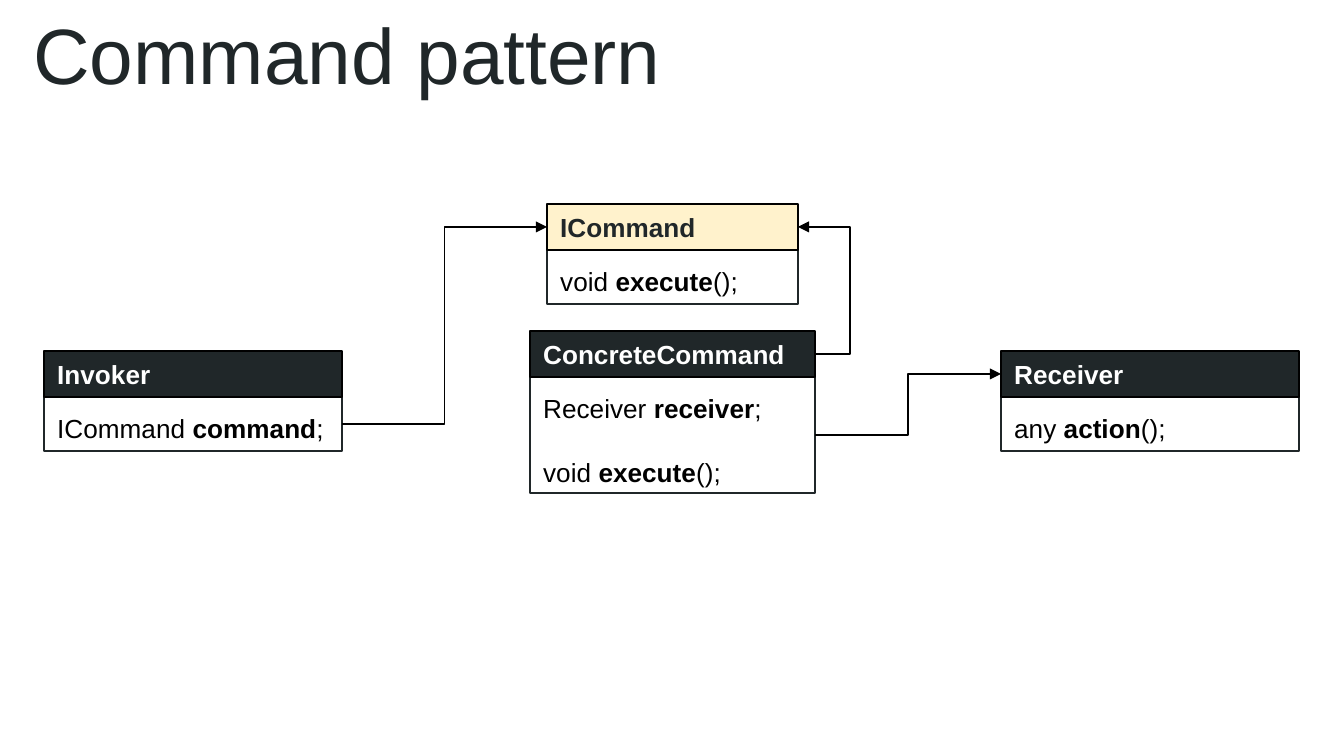
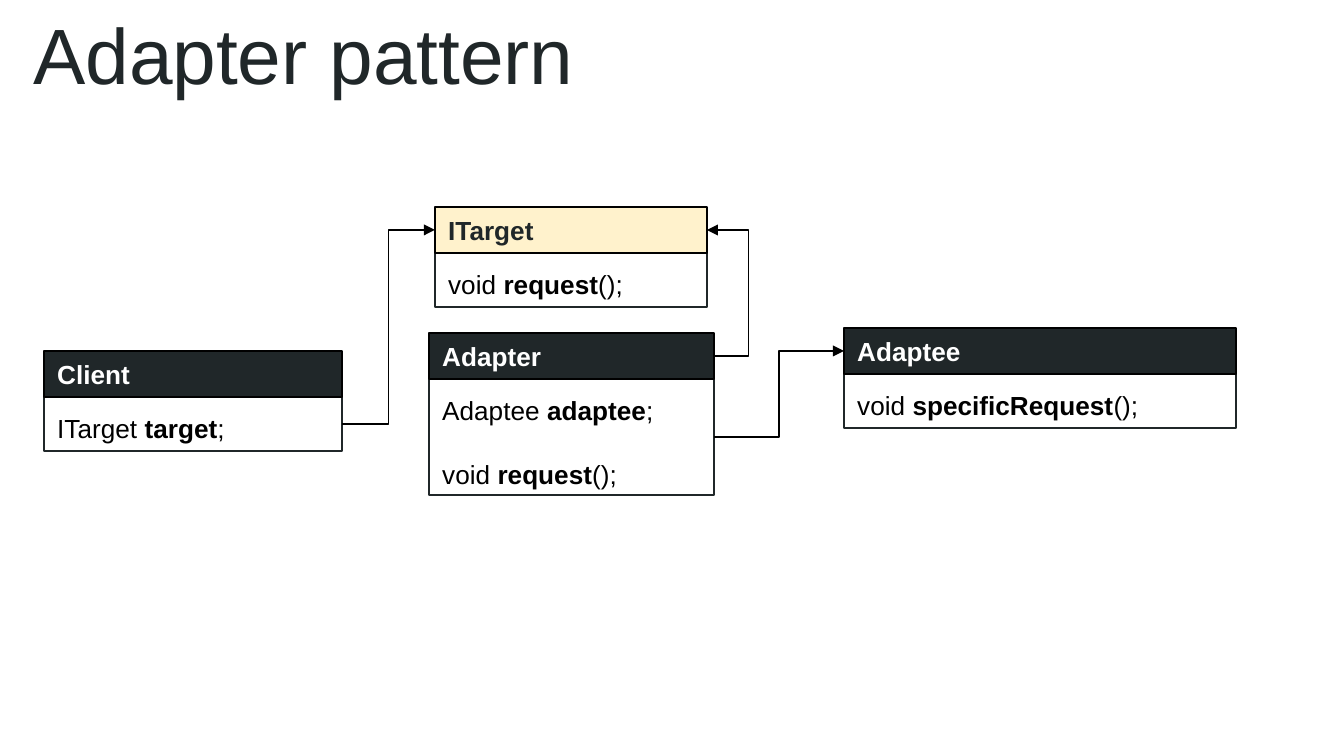
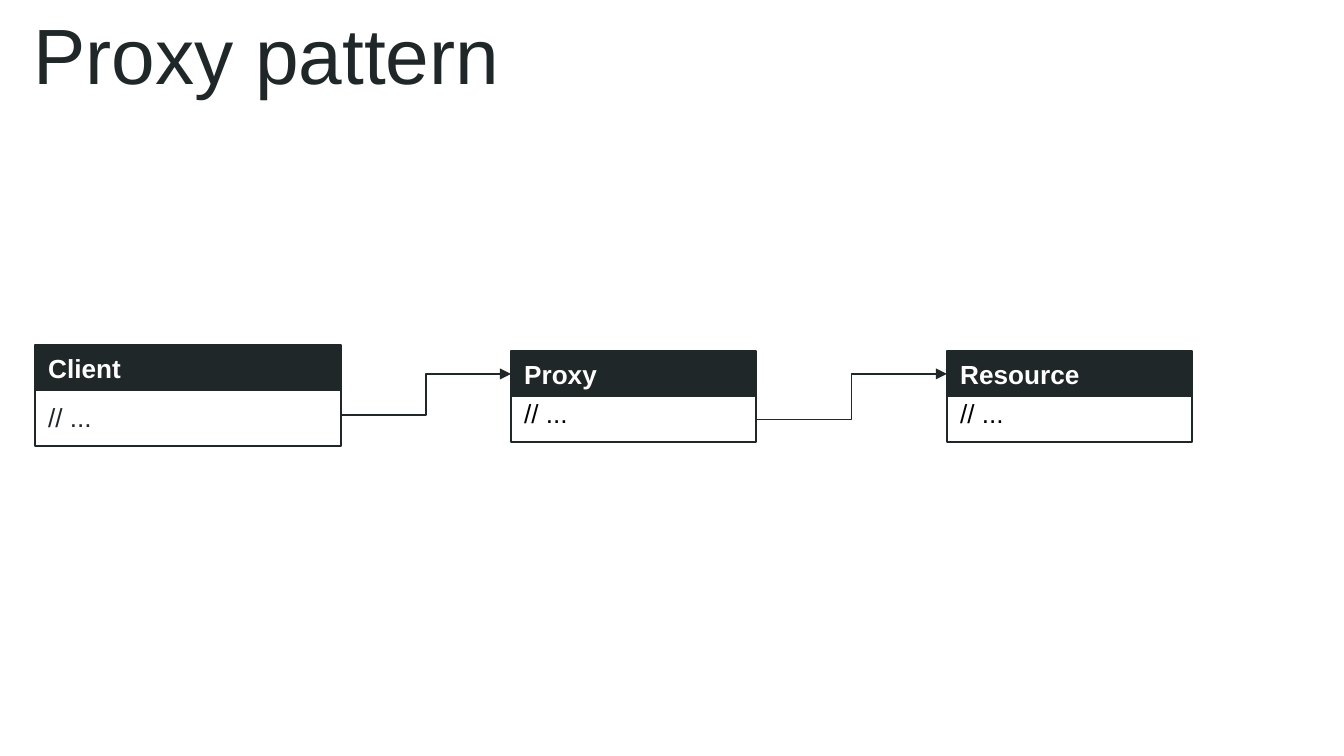
from collections import namedtuple

from lxml.etree import SubElement
from pptx import Presentation
from pptx.dml.color import RGBColor
from pptx.enum.shapes import MSO_CONNECTOR as CONNECTOR, MSO_SHAPE as SHAPE
from pptx.enum.text import MSO_ANCHOR as ANCHOR, PP_ALIGN as ALIGN
from pptx.oxml.ns import qn
from pptx.util import Pt

COLOURS = {"ink": "202729", "black": "000000", "white": "FFFFFF", "cream": "FFF2CC"}
FONT = "Arial"
EMU_PER_PIXEL = 914400 / 134.4
SLIDE_SIZE = (1344, 756)
HEADER_HEIGHT = 46
MEMBER_HEIGHT = 54
PAIR_HEIGHT = 116
LOOP_REACH = 35
INSET = 13.44

ClassBox = namedtuple("ClassBox", "left right header_mid body_mid")


def px(length):
    """Turn picture pixels into EMU."""
    return round(length * EMU_PER_PIXEL)


def rgb(name):
    """Look up a named colour."""
    return RGBColor.from_string(COLOURS[name])


def set_all(target, values):
    """Set every attribute in values on target."""
    for attribute, value in values.items():
        setattr(target, attribute, value)


def write(frame, lines, size, colour, anchor, bold=False, gap=0, spacing=None):
    """Write lines of runs; the second run of a line is bold."""
    margins = {f"margin_{side}": px(INSET) for side in ("left", "top", "right", "bottom")}
    set_all(frame, {"word_wrap": True, "vertical_anchor": anchor, **margins})
    for index, pieces in enumerate(lines):
        paragraph = frame.add_paragraph() if index else frame.paragraphs[0]
        layout = {"alignment": ALIGN.LEFT, "line_spacing": spacing,
                  "space_before": Pt(gap if index else 0)}
        set_all(paragraph, layout)
        for position, piece in enumerate(pieces):
            run = paragraph.add_run()
            run.text = piece
            set_all(run.font, {"name": FONT, "size": Pt(size), "bold": bold or position == 1})
            run.font.color.rgb = rgb(colour)


def add_rectangle(slide, area, fill=None, line=None):
    """Draw a flat rectangle with optional fill and outline."""
    rectangle = slide.shapes.add_shape(SHAPE.RECTANGLE, *map(px, area))
    rectangle.shadow.inherit = False
    if fill:
        rectangle.fill.solid()
        rectangle.fill.fore_color.rgb = rgb(fill)
    else:
        rectangle.fill.background()
    if line:
        rectangle.line.color.rgb = rgb(line)
        rectangle.line.width = Pt(0.75)
    else:
        rectangle.line.fill.background()
    return rectangle


def add_header(slide, area, name, fill, colour, line=None):
    """Draw the coloured name band of a class."""
    header = add_rectangle(slide, area, fill, line)
    write(header.text_frame, [(name,)], 14, colour, ANCHOR.MIDDLE, bold=True)


def add_class(slide, left, top, width, name, *members, interface=False):
    """Draw a class or interface with its members below the name."""
    body_top = top + HEADER_HEIGHT
    height = MEMBER_HEIGHT if len(members) == 1 else PAIR_HEIGHT
    body = add_rectangle(slide, (left, body_top, width, height), line="ink")
    write(body.text_frame, members, 14, "black", ANCHOR.TOP, gap=17, spacing=1.05)
    fill, colour = ("cream", "ink") if interface else ("ink", "white")
    add_header(slide, (left, top, width, HEADER_HEIGHT), name, fill, colour, "black")
    return ClassBox(left, left + width, top + HEADER_HEIGHT / 2, body_top + height / 2)


def add_framed_class(slide, left, top, width, height, name, colour="black"):
    """Draw a class whose frame runs behind its name band."""
    frame = add_rectangle(slide, (left, top, width, height), line="ink")
    write(frame.text_frame, [("// ...",)], 14, colour, ANCHOR.BOTTOM)
    add_header(slide, (left, top, width, HEADER_HEIGHT), name, "ink", "white")
    return ClassBox(left, left + width, top + HEADER_HEIGHT / 2,
                    top + (HEADER_HEIGHT + height) / 2)


def add_arrow(slide, start, end, colour="black", bend=None):
    """Draw an elbow arrow, turning at x = bend or halfway."""
    arrow = slide.shapes.add_connector(CONNECTOR.ELBOW, *map(px, start + end))
    arrow.line.color.rgb = rgb(colour)
    arrow.line.width = Pt(0.75)
    properties = arrow._element.spPr
    if bend is not None:
        share = round((bend - start[0]) / (end[0] - start[0]) * 100000)
        adjustments = properties.find(qn("a:prstGeom")).get_or_add_avLst()
        SubElement(adjustments, qn("a:gd"), name="adj1", fmla=f"val {share}")
    SubElement(properties.find(qn("a:ln")), qn("a:tailEnd"), type="triangle")
    SubElement(properties, qn("a:effectLst"))


def add_use(slide, user, used, colour="black"):
    """Point from the members of one class to the name of another."""
    add_arrow(slide, (user.right, user.body_mid), (used.left, used.header_mid), colour)


def add_realization(slide, concrete, interface):
    """Loop from a class up to the interface above it."""
    add_arrow(slide, (concrete.right, concrete.header_mid),
              (interface.right, interface.header_mid), bend=concrete.right + LOOP_REACH)


def add_pattern_slide(deck, title, title_width=844):
    """Add a blank slide with the shared title style."""
    slide = deck.slides.add_slide(deck.slide_layouts[6])
    heading = slide.shapes.add_textbox(*map(px, (20, 13, title_width, 101)))
    write(heading.text_frame, [(title,)], 42, "ink", ANCHOR.BOTTOM)
    return slide


def connect_roles(slide, caller, interface, concrete, target):
    """Link the four roles of a delegating pattern."""
    add_use(slide, caller, interface)
    add_realization(slide, concrete, interface)
    add_use(slide, concrete, target)


def build_command(deck):
    """Build the command pattern slide."""
    slide = add_pattern_slide(deck, "Command pattern")
    execute = ("void ", "execute", "();")
    interface = add_class(slide, 547, 204, 251, "ICommand", execute, interface=True)
    concrete = add_class(slide, 530, 331, 285, "ConcreteCommand",
                         ("Receiver ", "receiver", ";"), execute)
    invoker = add_class(slide, 44, 351, 298, "Invoker", ("ICommand ", "command", ";"))
    receiver = add_class(slide, 1001, 351, 298, "Receiver", ("any ", "action", "();"))
    connect_roles(slide, invoker, interface, concrete, receiver)


def build_adapter(deck):
    """Build the adapter pattern slide."""
    slide = add_pattern_slide(deck, "Adapter pattern")
    request = ("void ", "request", "();")
    interface = add_class(slide, 435, 207, 272, "ITarget", request, interface=True)
    adapter = add_class(slide, 429, 333, 285, "Adapter",
                        ("Adaptee ", "adaptee", ";"), request)
    client = add_class(slide, 44, 351, 298, "Client", ("ITarget ", "target", ";"))
    adaptee = add_class(slide, 844, 328, 392, "Adaptee", ("void ", "specificRequest", "();"))
    connect_roles(slide, client, interface, adapter, adaptee)


def build_proxy(deck):
    """Build the proxy pattern slide."""
    slide = add_pattern_slide(deck, "Proxy pattern", 663)
    client = add_framed_class(slide, 35, 345, 306, 101, "Client", "ink")
    proxy = add_framed_class(slide, 511, 351, 245, 91, "Proxy")
    resource = add_framed_class(slide, 947, 351, 245, 91, "Resource")
    add_arrow(slide, (client.right, 415), (proxy.left, proxy.header_mid), "ink")
    add_use(slide, proxy, resource, "ink")


def main():
    """Build and save the deck."""
    deck = Presentation()
    deck.slide_width, deck.slide_height = map(px, SLIDE_SIZE)
    for build in (build_command, build_adapter, build_proxy):
        build(deck)
    deck.save("out.pptx")


main()
